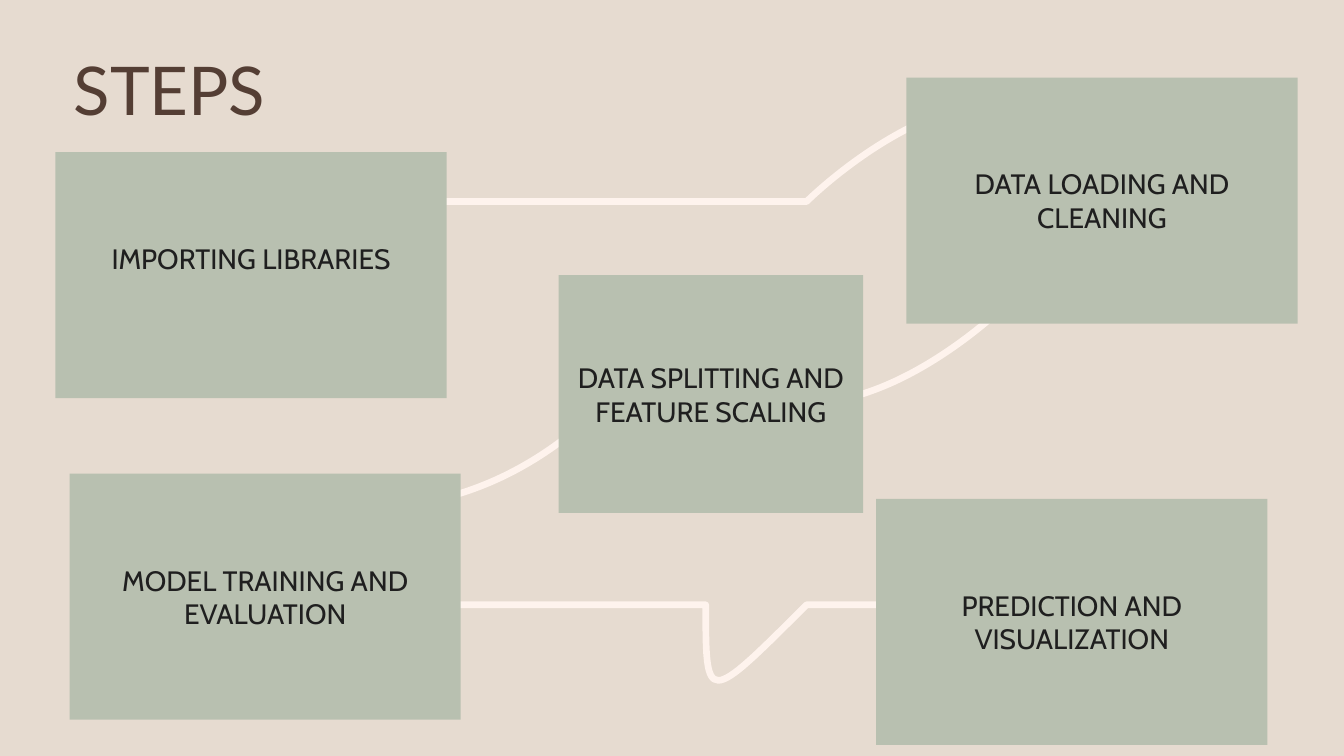
from lxml import etree
from pptx import Presentation
from pptx.dml.color import RGBColor
from pptx.enum.shapes import MSO_SHAPE
from pptx.enum.text import MSO_ANCHOR, MSO_AUTO_SIZE, PP_ALIGN
from pptx.oxml.ns import qn
from pptx.util import Inches, Pt

RECTANGLE = MSO_SHAPE.RECTANGLE
MIDDLE = MSO_ANCHOR.MIDDLE
LEFT, CENTER = PP_ALIGN.LEFT, PP_ALIGN.CENTER
NO_AUTOFIT = MSO_AUTO_SIZE.NONE

COLORS = {"background": "E6DBD0", "box": "B8C0B0", "curve": "FEF3ED",
          "title": "543E34", "text": "1F1F1F"}

TITLE = "STEPS"
LARGE, SMALL = (3.88, 2.44), (3.02, 2.36)
# Label, left and top, size, bottom inset (the first label sits above the middle)
STEPS = [
    ("IMPORTING LIBRARIES", (0.55, 1.51), LARGE, 0.39),
    ("DATA LOADING AND CLEANING", (8.99, 0.77), LARGE, 0.05),
    ("DATA SPLITTING AND FEATURE SCALING", (5.54, 2.73), SMALL, 0.05),
    ("MODEL TRAINING AND EVALUATION", (0.69, 4.7), LARGE, 0.05),
    ("PREDICTION AND VISUALIZATION", (8.69, 4.95), LARGE, 0.05),
]
# Each curve: a start point, then three Bezier points per segment
CURVES = [
    [(8.33, 3.83), (9.13, 3.63), (9.85, 3.27), (10.47, 2.75)],
    [(5.84, 4.28), (5.09, 4.52), (4.45, 4.9), (3.89, 5.39)],
    [(3.07, 2.23), (3.5, 1.87), (3.98, 1.77), (4.49, 1.9),
     (4.66, 1.94), (4.81, 2.01), (4.97, 2.09),
     (5.3, 2.24), (5.65, 2.35), (6.04, 2.36),
     (6.37, 2.36), (6.7, 2.29), (7.01, 2.17),
     (7.37, 2.03), (7.57, 1.93), (7.78, 1.83),
     (8.01, 1.71), (9.4, 1.03), (10.27, 1.46)],
    [(9.2, 5.79), (9.04, 5.86), (8.91, 5.95), (8.77, 6.05),
     (8.48, 6.25), (8.15, 6.41), (7.78, 6.47),
     (7.46, 6.53), (7.14, 6.51), (6.81, 6.44),
     (6.45, 6.36), (6.24, 6.29), (6.02, 6.22),
     (5.78, 6.15), (4.34, 5.7), (3.47, 6.36)],
]


def color(name):
    return RGBColor.from_string(COLORS[name])


def set_font(paragraph, name, size, color_name):
    paragraph.font.name = name
    paragraph.font.size = Pt(size)
    paragraph.font.color.rgb = color(color_name)


def add_curve(slide, points):
    builder = slide.shapes.build_freeform(*points[0], scale=Inches(1) / 1.0)
    builder.add_line_segments(points[1:], close=False)
    shape = builder.convert_to_shape()
    # Group every three line points into one cubic Bezier segment
    outline = next(shape.element.iter(qn("a:path")))
    lines = outline.findall(qn("a:lnTo"))
    for start in range(0, len(lines), 3):
        bezier = etree.SubElement(outline, qn("a:cubicBezTo"))
        for line in lines[start:start + 3]:
            bezier.append(line[0])
            outline.remove(line)
    shape.shadow.inherit = False
    shape.fill.background()
    shape.line.color.rgb = color("curve")
    shape.line.width = Pt(4.75)


def add_step(slide, label, position, size, bottom_inset):
    box = slide.shapes.add_shape(RECTANGLE, *map(Inches, position + size))
    box.shadow.inherit = False
    box.fill.solid()
    box.fill.fore_color.rgb = color("box")
    box.line.fill.background()
    frame = box.text_frame
    frame.word_wrap = True
    frame.vertical_anchor = MIDDLE
    frame.margin_bottom = Inches(bottom_inset)
    frame.text = label
    paragraph = frame.paragraphs[0]
    paragraph.alignment = CENTER
    set_font(paragraph, "Cabin", 20, "text")


def main():
    presentation = Presentation()
    presentation.slide_width = Inches(13.33)
    presentation.slide_height = Inches(7.5)
    slide = presentation.slides.add_slide(presentation.slide_layouts[5])
    slide.background.fill.solid()
    slide.background.fill.fore_color.rgb = color("background")

    # Title
    title = slide.shapes.title
    title.left, title.top = Inches(0.63), Inches(0.36)
    title.width, title.height = Inches(10), Inches(1.15)
    frame = title.text_frame
    frame.text = TITLE
    frame.auto_size = NO_AUTOFIT
    frame.vertical_anchor = MIDDLE
    paragraph = frame.paragraphs[0]
    paragraph.alignment = LEFT
    paragraph.line_spacing = 0.9
    set_font(paragraph, "Lato", 48, "title")

    # Curves run behind the step boxes
    for points in CURVES:
        add_curve(slide, points)
    for step in STEPS:
        add_step(slide, *step)

    presentation.save("out.pptx")


if __name__ == "__main__":
    main()
